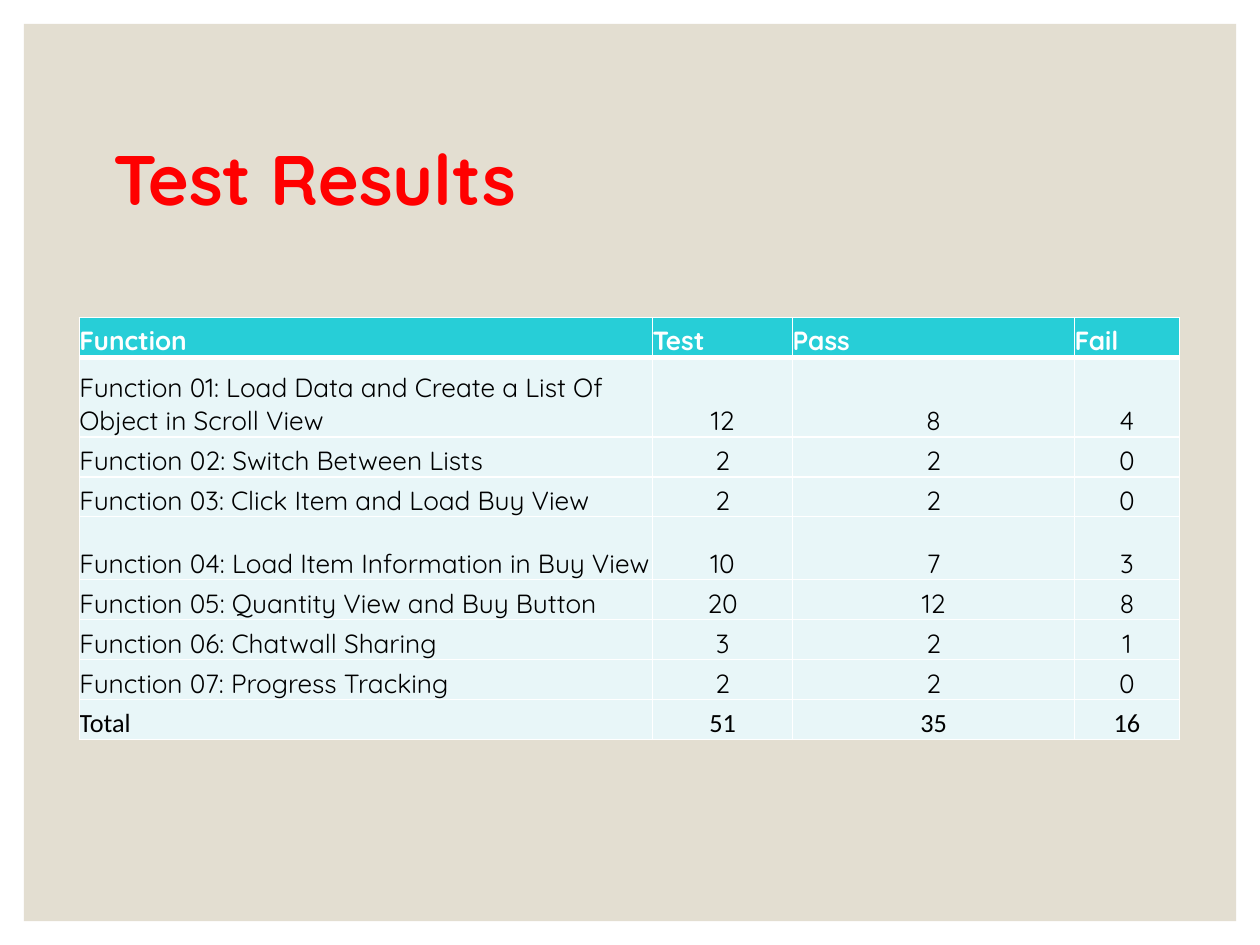
from lxml import etree
from pptx import Presentation, util as u
from pptx.dml.color import RGBColor
from pptx.enum import shapes, text
from pptx.oxml.ns import qn

WHITE = RGBColor(0xFF, 0xFF, 0xFF)
BLACK = RGBColor(0x00, 0x00, 0x00)
RED = RGBColor(0xFF, 0x00, 0x00)
SAND = RGBColor(0xE3, 0xDE, 0xD1)
TURQUOISE = RGBColor(0x27, 0xCE, 0xD7)
PALE = RGBColor(0xE8, 0xF6, 0xF8)

HEADER = ("Function", "Test", "Pass", "Fail")
RESULTS = (
    ("Function 01: Load Data and Create a List Of Object in Scroll View", 12, 8, 4),
    ("Function 02: Switch Between Lists", 2, 2, 0),
    ("Function 03: Click Item and Load Buy View", 2, 2, 0),
    ("Function 04: Load Item Information in Buy View", 10, 7, 3),
    ("Function 05: Quantity View and Buy Button", 20, 12, 8),
    ("Function 06: Chatwall Sharing", 3, 2, 1),
    ("Function 07: Progress Tracking", 2, 2, 0),
)


class ReportSlide:
    """Style and current slide; lengths are cells of a 100 by 75 grid."""

    font = "Quicksand"
    total_font = "Calibri"
    title_size = 40
    table_size = 15

    def __init__(self, presentation):
        self.slide = presentation.slides.add_slide(presentation.slide_layouts[6])
        self.unit = presentation.slide_width / 100

    def grid(self, *cells):
        return [u.Emu(round(cell * self.unit)) for cell in cells]

    def format_text(self, paragraph, size, color, bold=False, font=None):
        for run in paragraph.runs:
            run.font.name = font or self.font
            run.font.size = u.Pt(size)
            run.font.bold = bold
            run.font.color.rgb = color

    def panel(self, *box):
        shape = self.slide.shapes.add_shape(shapes.MSO_SHAPE.RECTANGLE, *self.grid(*box))
        shape.shadow.inherit = False
        shape.fill.solid()
        shape.fill.fore_color.rgb = SAND
        shape.line.fill.background()

    def title(self, words, *box):
        frame = self.slide.shapes.add_textbox(*self.grid(*box)).text_frame
        frame.word_wrap = True
        frame.vertical_anchor = text.MSO_ANCHOR.MIDDLE
        frame.text = words
        paragraph = frame.paragraphs[0]
        paragraph.line_spacing = 0.9
        self.format_text(paragraph, self.title_size, RED, bold=True)

    def borders(self, cell, bottom):
        properties = cell._tc.get_or_add_tcPr()
        for side, width in (("L", 1), ("R", 1), ("T", 1), ("B", bottom)):
            line = etree.SubElement(properties, qn(f"a:ln{side}"), w=str(u.Pt(width)))
            fill = etree.SubElement(line, qn("a:solidFill"))
            etree.SubElement(fill, qn("a:srgbClr"), val=str(WHITE))

    def cell(self, cell, value, fill, color, bottom=1, bold=False, font=None):
        self.borders(cell, bottom)
        cell.fill.solid()
        cell.fill.fore_color.rgb = fill
        cell.margin_left = cell.margin_right = cell.margin_top = cell.margin_bottom = 0
        cell.vertical_anchor = text.MSO_ANCHOR.BOTTOM
        cell.text = str(value)
        paragraph = cell.text_frame.paragraphs[0]
        if isinstance(value, int):
            paragraph.alignment = text.PP_ALIGN.CENTER
        self.format_text(paragraph, self.table_size, color, bold, font)

    def table(self, left, top, widths, heights, rows):
        box = self.grid(left, top, sum(widths), sum(heights))
        table = self.slide.shapes.add_table(len(rows), len(widths), *box).table
        for column, width in zip(table.columns, self.grid(*widths)):
            column.width = width
        for row, height in zip(table.rows, self.grid(*heights)):
            row.height = height
        last = len(rows) - 1
        for index, values in enumerate(rows):
            if index == 0:
                style = dict(fill=TURQUOISE, color=WHITE, bottom=3, bold=True)
            else:
                style = dict(fill=PALE, color=BLACK)
            if index == last:
                style["font"] = self.total_font
            for cell, value in zip(table.rows[index].cells, values):
                self.cell(cell, value, **style)
            # The thick rule under the header is shared with the first result row
            if index == 1:
                for cell in table.rows[index].cells:
                    cell._tc.tcPr.find(qn("a:lnT")).set("w", str(u.Pt(3)))


def main():
    presentation = Presentation()
    presentation.slide_width, presentation.slide_height = u.Inches(10), u.Inches(7.5)
    report = ReportSlide(presentation)

    # Background panel and title
    report.panel(1.9, 1.9, 96.2, 71.2)
    report.title("Test Results", 8, 7, 84, 15)

    # Results with totals
    counts = list(zip(*RESULTS))[1:]
    total = ("Total", *map(sum, counts))
    heights = [3.17] * (len(RESULTS) + 2)
    heights[1], heights[4] = 6.3, 5
    report.table(6.3, 25.2, (45.5, 11.1, 22.4, 8.3), heights, (HEADER, *RESULTS, total))

    presentation.save("out.pptx")


if __name__ == "__main__":
    main()
